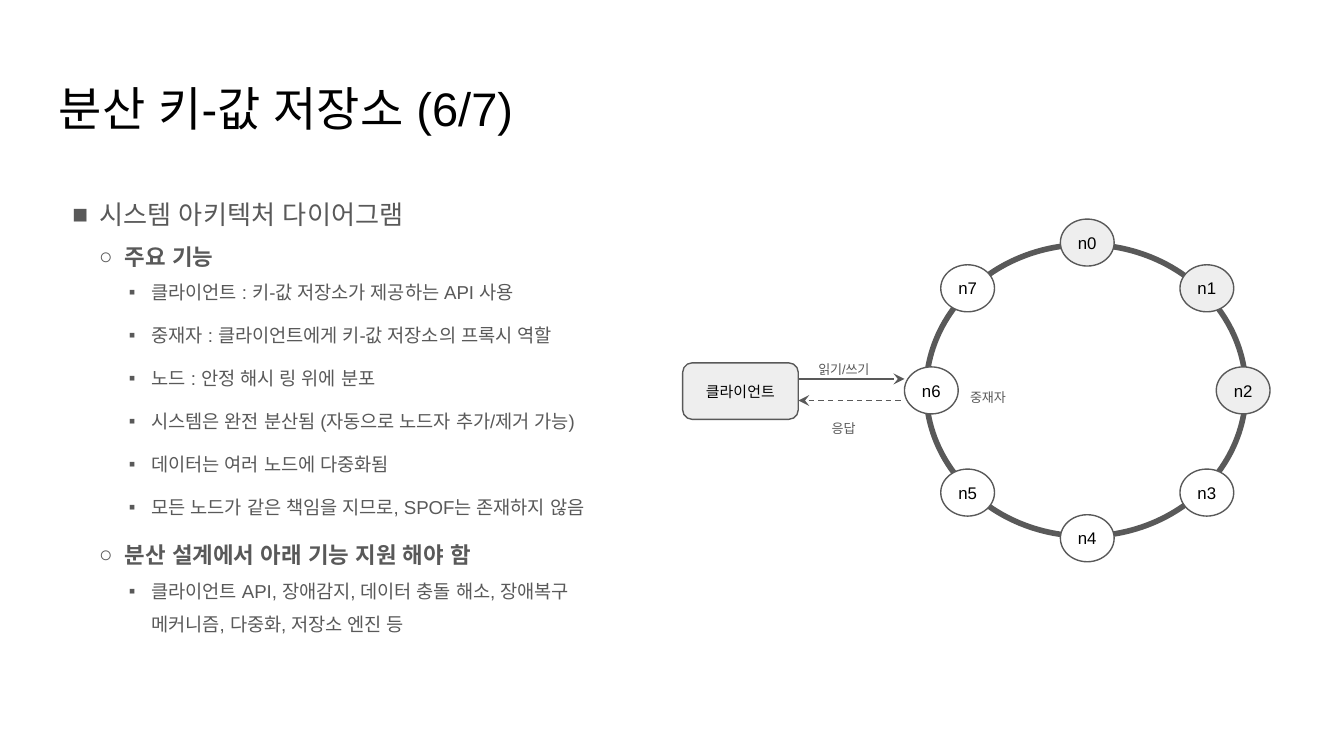
import math
from dataclasses import dataclass

import pptx
import pptx.dml.color
import pptx.enum.dml
import pptx.enum.shapes
import pptx.enum.text
import pptx.oxml
import pptx.oxml.ns
import pptx.util
from pptx.util import Inches

COLORS = {"ink": "000000", "gray": "595959", "pale": "EEEEEE", "white": "FFFFFF"}
FONT = "Arial"
SLIDE_WIDTH = 10
SLIDE_HEIGHT = SLIDE_WIDTH * 9 / 16
NODE_ORIGIN = (7.89, 2.73)
AXIS_REACH = (1.16, 1.1)
DIAGONAL_REACH = (0.89, 0.76)
NODE_SIZE = (0.4, 0.35)
REPLICA_NODES = (0, 1, 2)


@dataclass(frozen=True)
class Level:
    bullet: str
    margin: float
    indent: float
    size: float
    bold: bool = False


@dataclass(frozen=True)
class Point:
    level: int
    text: str
    before: float = 0
    after: float = 0


@dataclass(frozen=True)
class Label:
    text: str
    left: float
    top: float


@dataclass(frozen=True)
class Arrow:
    y: float
    arrow_end: str
    dashed: bool = False


LEVELS = (
    Level("■", 0.3, -0.2, 14),
    Level("○", 0.49, -0.19, 12, True),
    Level("▪", 0.69, -0.17, 10),
)
POINTS = (
    Point(0, "시스템 아키텍처 다이어그램"),
    Point(1, "주요 기능"),
    Point(2, "클라이언트 : 키-값 저장소가 제공하는 API 사용"),
    Point(2, "중재자 : 클라이언트에게 키-값 저장소의 프록시 역할", before=5),
    Point(2, "노드 : 안정 해시 링 위에 분포", before=5),
    Point(2, "시스템은 완전 분산됨 (자동으로 노드자 추가/제거 가능)", before=5),
    Point(2, "데이터는 여러 노드에 다중화됨", before=5),
    Point(2, "모든 노드가 같은 책임을 지므로, SPOF는 존재하지 않음", before=5),
    Point(1, "분산 설계에서 아래 기능 지원 해야 함", before=5),
    Point(2, "클라이언트 API, 장애감지, 데이터 충돌 해소, 장애복구 메커니즘, 다중화, 저장소 엔진 등", after=5),
)
LABELS = (
    Label("읽기/쓰기", 5.99, 2.54),
    Label("응답", 6.09, 2.98),
    Label("중재자", 7.12, 2.75),
)
ARROWS = (Arrow(2.82, "tailEnd"), Arrow(2.98, "headEnd", dashed=True))


def rgb(color: str) -> pptx.dml.color.RGBColor:
    return pptx.dml.color.RGBColor.from_string(COLORS[color])


def style_runs(paragraph, size: float, color: str, bold: bool = False) -> None:
    namespace = pptx.oxml.ns.nsdecls("a")
    for run in paragraph.runs:
        run.font.name = FONT
        run.font.size = pptx.util.Pt(size)
        run.font.bold = bold
        run.font.color.rgb = rgb(color)
        properties = run._r.get_or_add_rPr()
        properties.set("kern", "0")
        for script in ("ea", "cs"):
            properties.append(pptx.oxml.parse_xml(f'<a:{script} {namespace} typeface="{FONT}"/>'))


def set_insets(frame, inset: float) -> None:
    frame.word_wrap = True
    frame.margin_left = frame.margin_right = Inches(inset)
    frame.margin_top = frame.margin_bottom = Inches(inset)


def add_text_frame(slide, left: float, top: float, width: float, height: float):
    box = slide.shapes.add_textbox(Inches(left), Inches(top), Inches(width), Inches(height))
    set_insets(box.text_frame, 0.1)
    return box.text_frame


def add_bullet(paragraph, level: Level) -> None:
    properties = paragraph._p.get_or_add_pPr()
    properties.set("marL", str(Inches(level.margin)))
    properties.set("indent", str(Inches(level.indent)))
    namespace = pptx.oxml.ns.nsdecls("a")
    for xml in (
        f'<a:buClr {namespace}><a:srgbClr val="{COLORS["gray"]}"/></a:buClr>',
        f'<a:buFont {namespace} typeface="{FONT}"/>',
        f'<a:buChar {namespace} char="{level.bullet}"/>',
    ):
        properties.append(pptx.oxml.parse_xml(xml))


def add_points(slide) -> None:
    frame = add_text_frame(slide, 0.34, 1.26, 4.37, 3.74)
    for index, point in enumerate(POINTS):
        paragraph = frame.add_paragraph() if index else frame.paragraphs[0]
        level = LEVELS[point.level]
        paragraph.text = point.text
        paragraph.level = point.level
        paragraph.line_spacing = 1.5
        paragraph.space_before = pptx.util.Pt(point.before)
        paragraph.space_after = pptx.util.Pt(point.after)
        add_bullet(paragraph, level)
        style_runs(paragraph, level.size, "gray", level.bold)


def add_outlined(slide, kind, left: float, top: float, width: float, height: float,
                 fill: str | None = None, weight: float = 0.75):
    shape = slide.shapes.add_shape(kind, Inches(left), Inches(top), Inches(width), Inches(height))
    shape.shadow.inherit = False
    if fill:
        shape.fill.solid()
        shape.fill.fore_color.rgb = rgb(fill)
    else:
        shape.fill.background()
    shape.line.color.rgb = rgb("gray")
    shape.line.width = pptx.util.Pt(weight)
    return shape


def write_centered(shape, text: str, size: float, inset: float) -> None:
    frame = shape.text_frame
    set_insets(frame, inset)
    frame.vertical_anchor = pptx.enum.text.MSO_ANCHOR.MIDDLE
    frame.text = text
    frame.paragraphs[0].alignment = pptx.enum.text.PP_ALIGN.CENTER
    style_runs(frame.paragraphs[0], size, "ink")


def add_node(slide, index: int) -> None:
    angle = index * math.pi / 4
    reach = DIAGONAL_REACH if index % 2 else AXIS_REACH
    left = NODE_ORIGIN[0] + round(math.sin(angle)) * reach[0]
    top = NODE_ORIGIN[1] - round(math.cos(angle)) * reach[1]
    fill = "pale" if index in REPLICA_NODES else "white"
    node = add_outlined(slide, pptx.enum.shapes.MSO_SHAPE.OVAL, left, top, *NODE_SIZE, fill)
    write_centered(node, f"n{index}", 9, 0.06)


def add_arrow(slide, arrow: Arrow) -> None:
    connector = slide.shapes.add_connector(
        pptx.enum.shapes.MSO_CONNECTOR.STRAIGHT,
        Inches(5.94), Inches(arrow.y), Inches(6.73), Inches(arrow.y),
    )
    connector.line.color.rgb = rgb("gray")
    connector.line.width = pptx.util.Pt(0.75)
    if arrow.dashed:
        connector.line.dash_style = pptx.enum.dml.MSO_LINE.DASH
    namespace = pptx.oxml.ns.nsdecls("a")
    connector.line._get_or_add_ln().append(
        pptx.oxml.parse_xml(f'<a:{arrow.arrow_end} {namespace} type="stealth"/>'))
    connector._element.spPr.append(pptx.oxml.parse_xml(f"<a:effectLst {namespace}/>"))


def add_label(slide, label: Label) -> None:
    frame = add_text_frame(slide, label.left, label.top, 0.86, 0.32)
    frame.text = label.text
    paragraph = frame.paragraphs[0]
    paragraph.line_spacing = 1.5
    paragraph.space_after = pptx.util.Pt(5)
    style_runs(paragraph, 7, "gray")


def main() -> None:
    deck = pptx.Presentation()
    deck.slide_width = Inches(SLIDE_WIDTH)
    deck.slide_height = Inches(SLIDE_HEIGHT)
    slide = deck.slides.add_slide(deck.slide_layouts[6])

    title = add_text_frame(slide, 0.34, 0.49, 9.32, 0.63)
    title.text = "분산 키-값 저장소 (6/7)"
    style_runs(title.paragraphs[0], 25.2, "ink")
    add_points(slide)

    client = add_outlined(slide, pptx.enum.shapes.MSO_SHAPE.ROUNDED_RECTANGLE,
                          5.08, 2.7, 0.86, 0.42, "pale")
    write_centered(client, "클라이언트", 8, 0.1)
    add_outlined(slide, pptx.enum.shapes.MSO_SHAPE.OVAL, 6.89, 1.82, 2.38, 2.17, weight=3)
    for index in range(8):
        add_node(slide, index)
    for arrow in ARROWS:
        add_arrow(slide, arrow)
    for label in LABELS:
        add_label(slide, label)

    deck.save("out.pptx")


if __name__ == "__main__":
    main()
